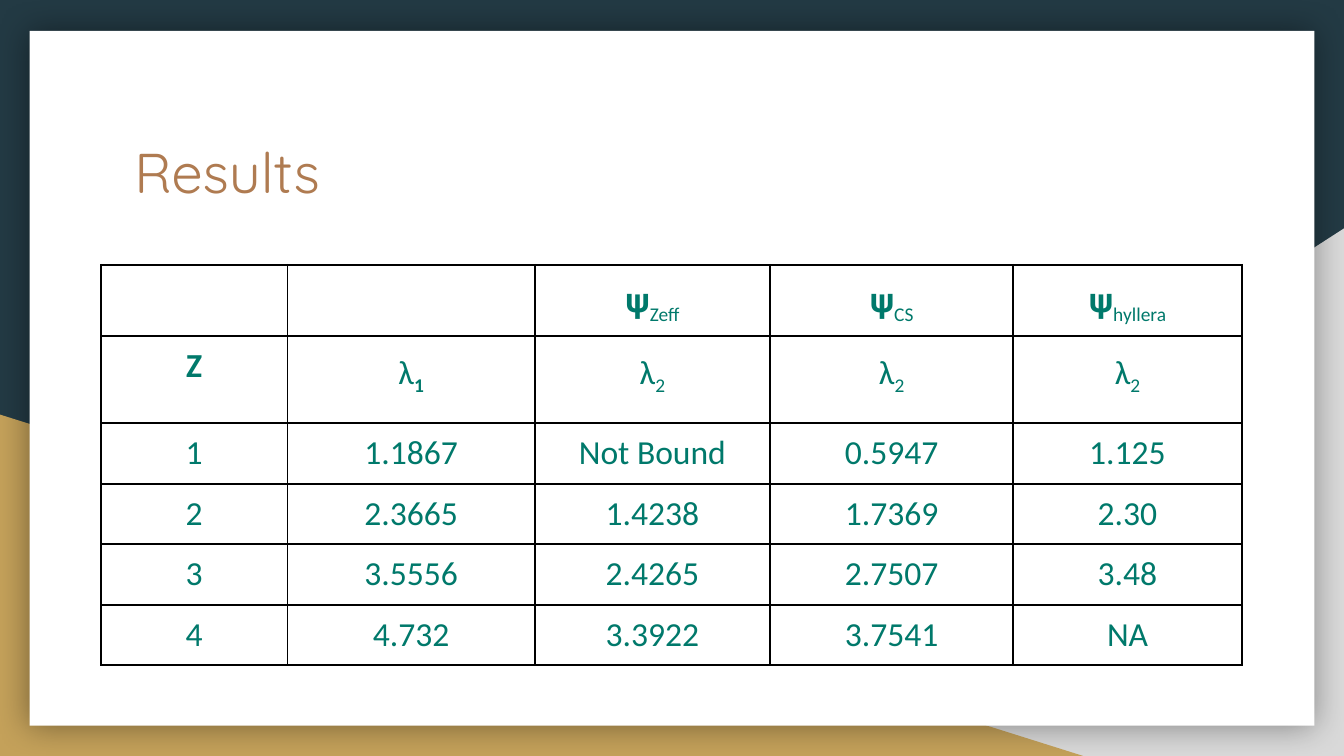
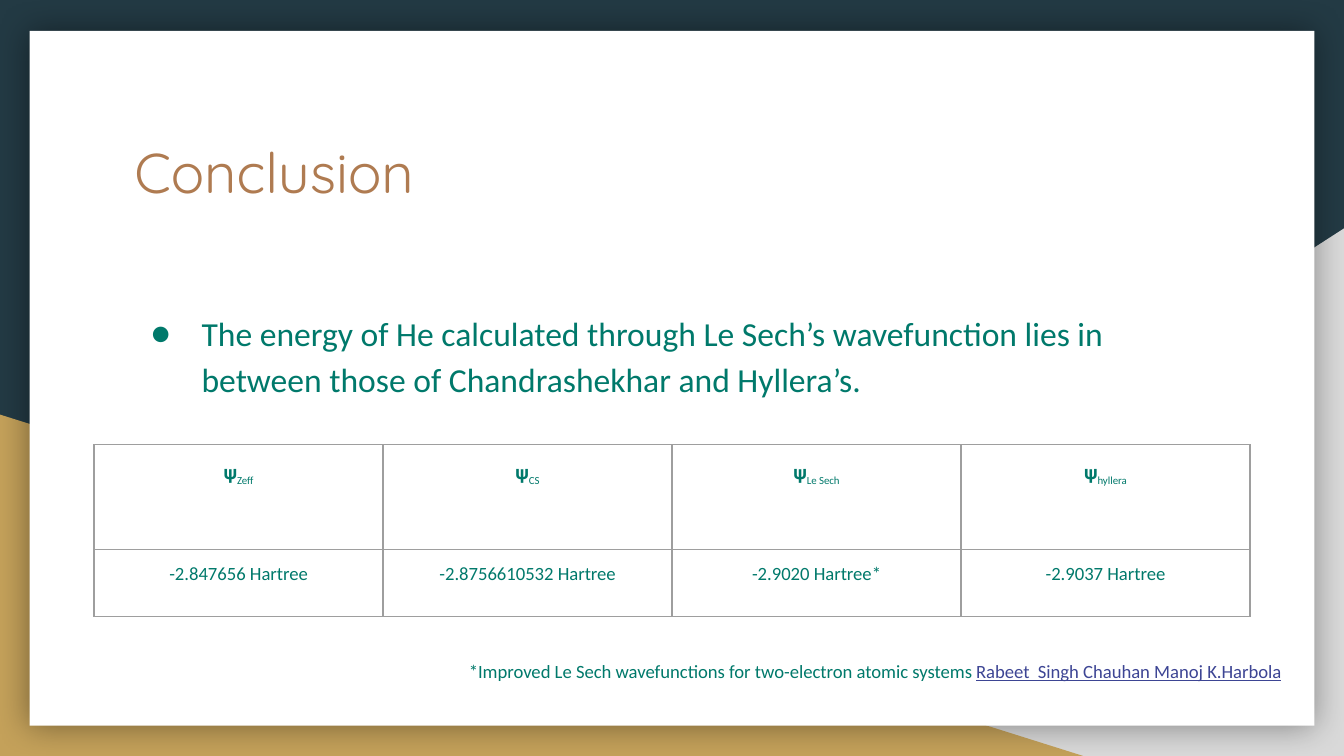
from dataclasses import dataclass

from lxml.etree import SubElement
from pptx import Presentation
from pptx.dml.color import RGBColor as RGB
from pptx.enum.shapes import MSO_SHAPE as Preset
from pptx.enum.text import MSO_ANCHOR as Anchor, MSO_AUTO_SIZE as AutoSize, PP_ALIGN as Align
from pptx.oxml import parse_xml
from pptx.oxml.ns import nsdecls, qn
from pptx.util import Inches, Pt


@dataclass(frozen=True)
class Theme:
    backdrop: str = "233A44"
    grey: str = "D9D9D9"
    gold: str = "C4A15A"
    card: str = "FFFFFF"
    heading: str = "AF7B51"
    text: str = "00796B"
    citation: str = "3D4594"
    heading_font: str = "Quicksand"
    text_font: str = "Calibri"
    heading_size: float = 30
    text_size: float = 18
    small_size: float = 10
    line_spacing: float = 1.15


THEME = Theme()
WIDTH, HEIGHT = 10, 5.625
TITLE_BOX = (0.9, 0.92, 8.21, 1.04)
BODY_BOX = (0.9, 2.18, 8.21, 0.92)
FOOTNOTE_BOX = (3.39, 4.81, 6.44, 0.27)

# Content: a cell is plain text or a list of (text, format) runs
SUBSCRIPT = {"baseline": -25}
BOLD = {"bold": True}


def symbol(letter, index, **form):
    return [(letter, {}), (index, SUBSCRIPT | form)]


RESULTS = {
    "origin": (0.75, 1.97),
    "columns": [1.39, 1.84, 1.75, 1.81, 1.7],
    "rows": [0.52, 0.65] + [0.45] * 4,
    "border": ("000000", 1),
    "inset": 0.07,
    "size": THEME.text_size,
    "cells": [
        ["", "", *(symbol("𝛙", name) for name in ("Zeff", "CS", "hyllera"))],
        [[("Z", BOLD)], symbol("λ", "1", **BOLD), *[symbol("λ", "2")] * 3],
        ["1", "1.1867", "Not Bound", "0.5947", "1.125"],
        ["2", "2.3665", "1.4238", "1.7369", "2.30"],
        ["3", "3.5556", "2.4265", "2.7507", "3.48"],
        ["4", "4.732", "3.3922", "3.7541", "NA"],
    ],
}
ENERGIES = {
    "origin": (0.7, 3.31),
    "columns": [2.15] * 4,
    "rows": [0.78, 0.5],
    "border": ("9E9E9E", 0.75),
    "inset": 0.1,
    "size": THEME.small_size,
    "cells": [
        [symbol("𝛙", name) for name in ("Zeff", "CS", "Le Sech", "hyllera")],
        ["-2.847656 Hartree", "-2.8756610532 Hartree", "-2.9020 Hartree*", "-2.9037 Hartree"],
    ],
}
FINDING = (
    "The energy of He calculated through Le Sech’s wavefunction lies in "
    "between those of Chandrashekhar and Hyllera’s."
)
FOOTNOTE = [
    ("*Improved Le Sech wavefunctions for two-electron atomic systems ", {}),
    ("Rabeet  Singh Chauhan Manoj K.Harbola", {"color": THEME.citation, "underline": True}),
]


def inches(values):
    return [Inches(value) for value in values]


def place(shape, box):
    shape.left, shape.top, shape.width, shape.height = inches(box)


def write(frame, content, align=Align.LEFT, spacing=1.0, **defaults):
    """Fill the frame's first paragraph with plain text or formatted runs."""
    paragraph = frame.paragraphs[0]
    paragraph.alignment = align
    paragraph.line_spacing = spacing
    paragraph.space_before = Pt(0)
    for text, form in [(content, {})] if isinstance(content, str) else content:
        style = {"font": THEME.text_font, "size": THEME.text_size, "color": THEME.text} | defaults | form
        run = paragraph.add_run()
        run.text = text
        run.font.name = style["font"]
        run.font.size = Pt(style["size"])
        run.font.color.rgb = RGB.from_string(style["color"])
        run.font.bold = style.get("bold", False)
        run.font.underline = style.get("underline", False)
        if "baseline" in style:
            run._r.get_or_add_rPr().set("baseline", str(style["baseline"] * 1000))
    return paragraph


def set_frame(frame):
    frame.word_wrap = True
    frame.auto_size = AutoSize.NONE
    frame.vertical_anchor = Anchor.TOP
    frame.margin_left = frame.margin_right = frame.margin_top = frame.margin_bottom = Inches(0.1)


def add_title(slide, text):
    title = slide.shapes.title
    place(title, TITLE_BOX)
    set_frame(title.text_frame)
    write(title.text_frame, text, font=THEME.heading_font, size=THEME.heading_size, color=THEME.heading)


def add_bullet(placeholder, text):
    place(placeholder, BODY_BOX)
    set_frame(placeholder.text_frame)
    paragraph = write(placeholder.text_frame, text, spacing=THEME.line_spacing)
    properties = paragraph._p.get_or_add_pPr()
    properties.set("marL", str(Inches(0.5)))
    properties.set("indent", str(Inches(-0.38)))
    color = SubElement(properties, qn("a:buClr"))
    SubElement(color, qn("a:srgbClr"), val=THEME.text)
    SubElement(properties, qn("a:buFont"), typeface=THEME.text_font)
    SubElement(properties, qn("a:buChar"), char="●")


def set_borders(cell, color, width):
    properties = cell._tc.get_or_add_tcPr()
    for position, side in enumerate("LRTB"):
        properties.insert(position, parse_xml(
            f'<a:ln{side} {nsdecls("a")} w="{Pt(width)}"><a:solidFill>'
            f'<a:srgbClr val="{color}"/></a:solidFill></a:ln{side}>'))


def add_table(slide, data):
    columns, rows = data["columns"], data["rows"]
    box = inches((*data["origin"], sum(columns), sum(rows)))
    table = slide.shapes.add_table(len(rows), len(columns), *box).table
    table.first_row = table.horz_banding = False
    for column, width in zip(table.columns, columns):
        column.width = Inches(width)
    for row, height, contents in zip(table.rows, rows, data["cells"]):
        row.height = Inches(height)
        for cell, content in zip(row.cells, contents):
            cell.fill.background()
            set_borders(cell, *data["border"])
            inset = Inches(data["inset"])
            cell.margin_left = cell.margin_right = cell.margin_top = cell.margin_bottom = inset
            if content:
                is_symbol = not isinstance(content, str) and len(content) > 1
                spacing = THEME.line_spacing if is_symbol else 1.0
                write(cell.text_frame, content, Align.CENTER, spacing, size=data["size"])


def decorate_master(master, slide):
    """Put the two corner triangles and the white card behind every slide."""
    master.background.fill.solid()
    master.background.fill.fore_color.rgb = RGB.from_string(THEME.backdrop)
    parts = [
        (Preset.RIGHT_TRIANGLE, (3.92, 1.7, 6.08, 3.925), THEME.grey),
        (Preset.RIGHT_TRIANGLE, (0, 3.085, 8.06, 2.54), THEME.gold),
        (Preset.RECTANGLE, (0.22, 0.23, 9.56, 5.17), THEME.card),
    ]
    shapes = []
    for position, (preset, box, color) in enumerate(parts, start=2):
        shape = slide.shapes.add_shape(preset, *inches(box))
        shape.fill.solid()
        shape.fill.fore_color.rgb = RGB.from_string(color)
        shape.line.fill.background()
        shape.shadow.inherit = False
        master.shapes.element.insert(position, shape.element)
        shapes.append(shape)
    grey_triangle, _, card = shapes
    grey_triangle.element.spPr.get_or_add_xfrm().set("flipH", "1")
    effects = card.element.spPr.find(qn("a:effectLst"))
    effects.append(parse_xml(
        f'<a:outerShdw {nsdecls("a")} blurRad="{Pt(18)}" dist="0" dir="0" algn="ctr" rotWithShape="0">'
        '<a:srgbClr val="000000"><a:alpha val="40000"/></a:srgbClr></a:outerShdw>'))


def main():
    presentation = Presentation()
    presentation.slide_width, presentation.slide_height = inches((WIDTH, HEIGHT))
    title_and_body, title_only = presentation.slide_layouts[1], presentation.slide_layouts[5]

    # Results
    results = presentation.slides.add_slide(title_only)
    decorate_master(presentation.slide_master, results)
    add_title(results, "Results")
    add_table(results, RESULTS)

    # Conclusion
    conclusion = presentation.slides.add_slide(title_and_body)
    add_title(conclusion, "Conclusion")
    add_bullet(conclusion.placeholders[1], FINDING)
    add_table(conclusion, ENERGIES)
    footnote = conclusion.shapes.add_textbox(*inches(FOOTNOTE_BOX))
    set_frame(footnote.text_frame)
    write(footnote.text_frame, FOOTNOTE, size=THEME.small_size)

    presentation.save("out.pptx")


if __name__ == "__main__":
    main()
